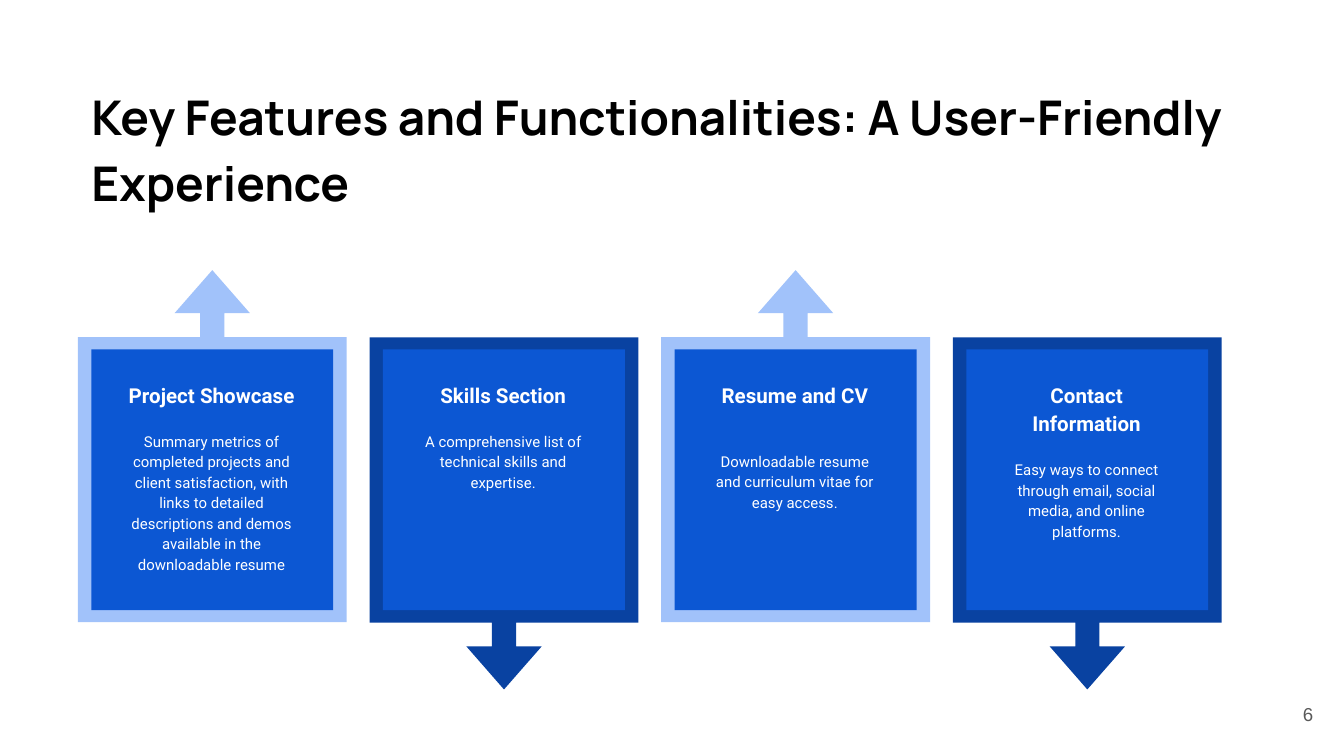
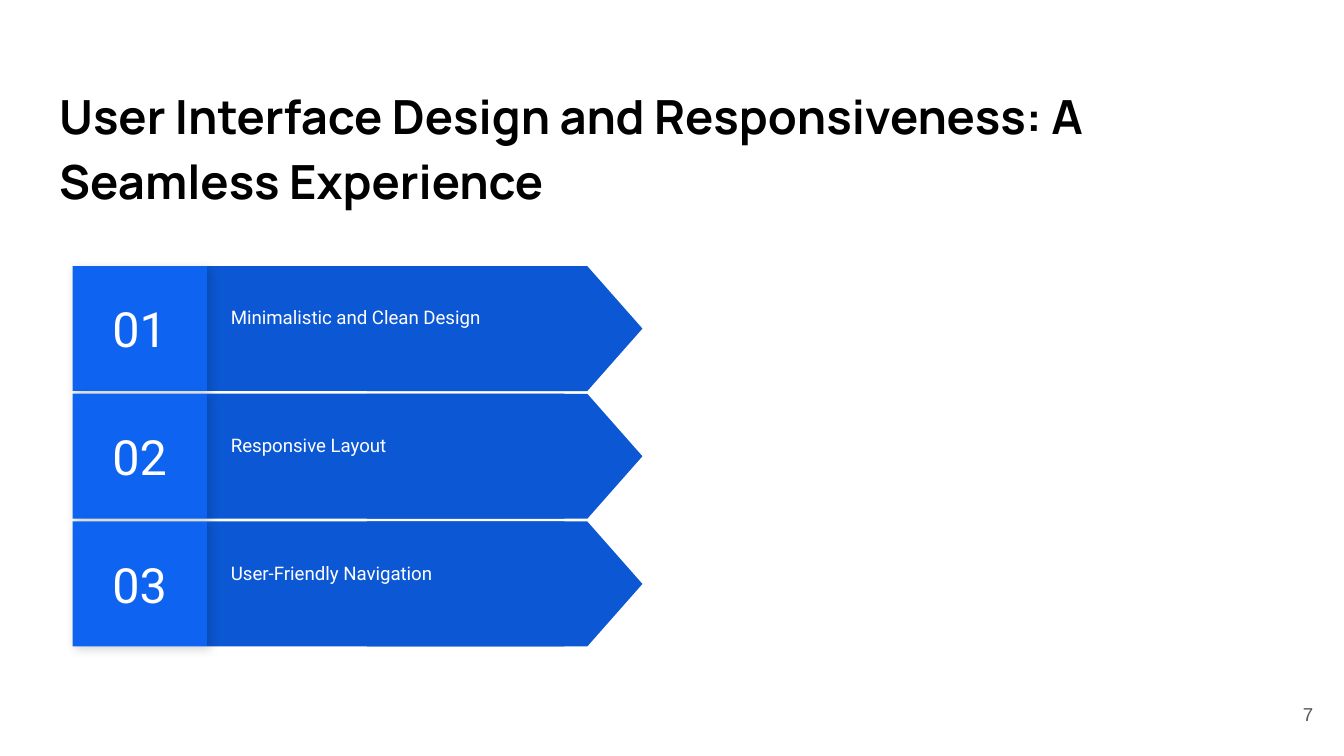
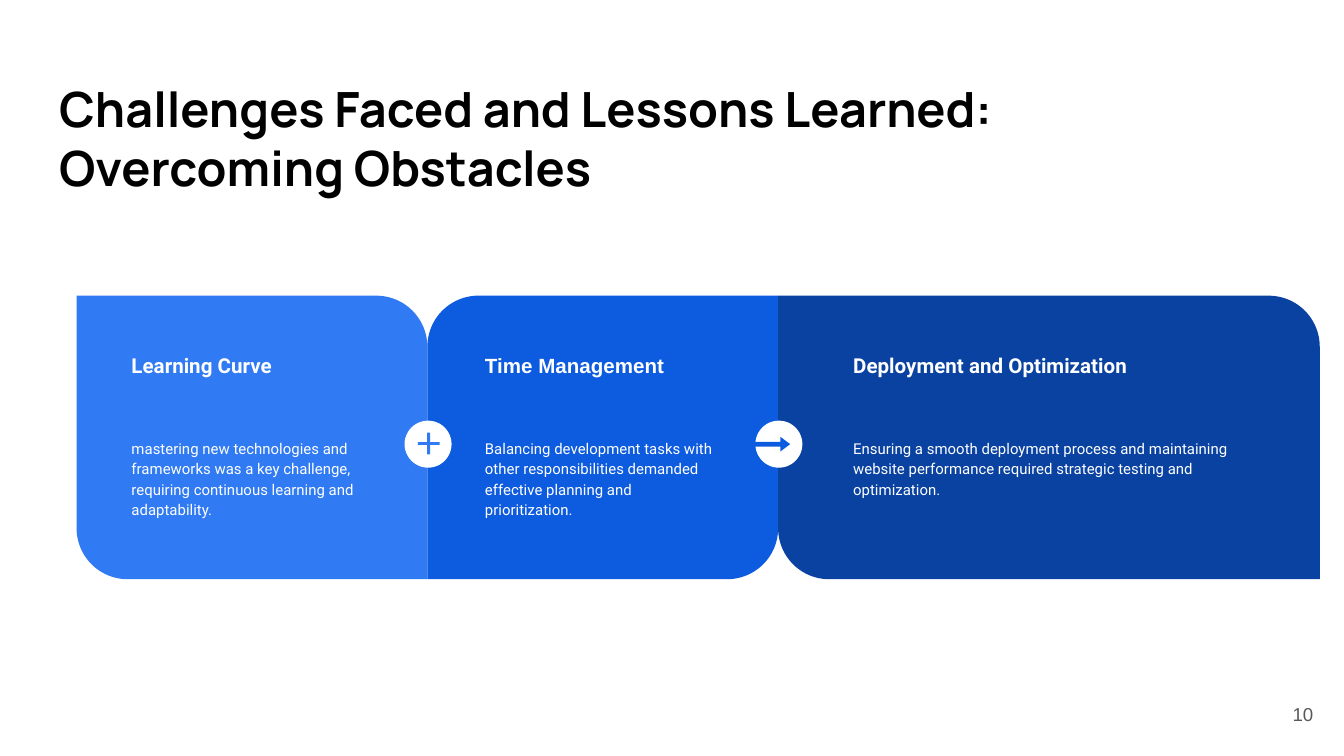
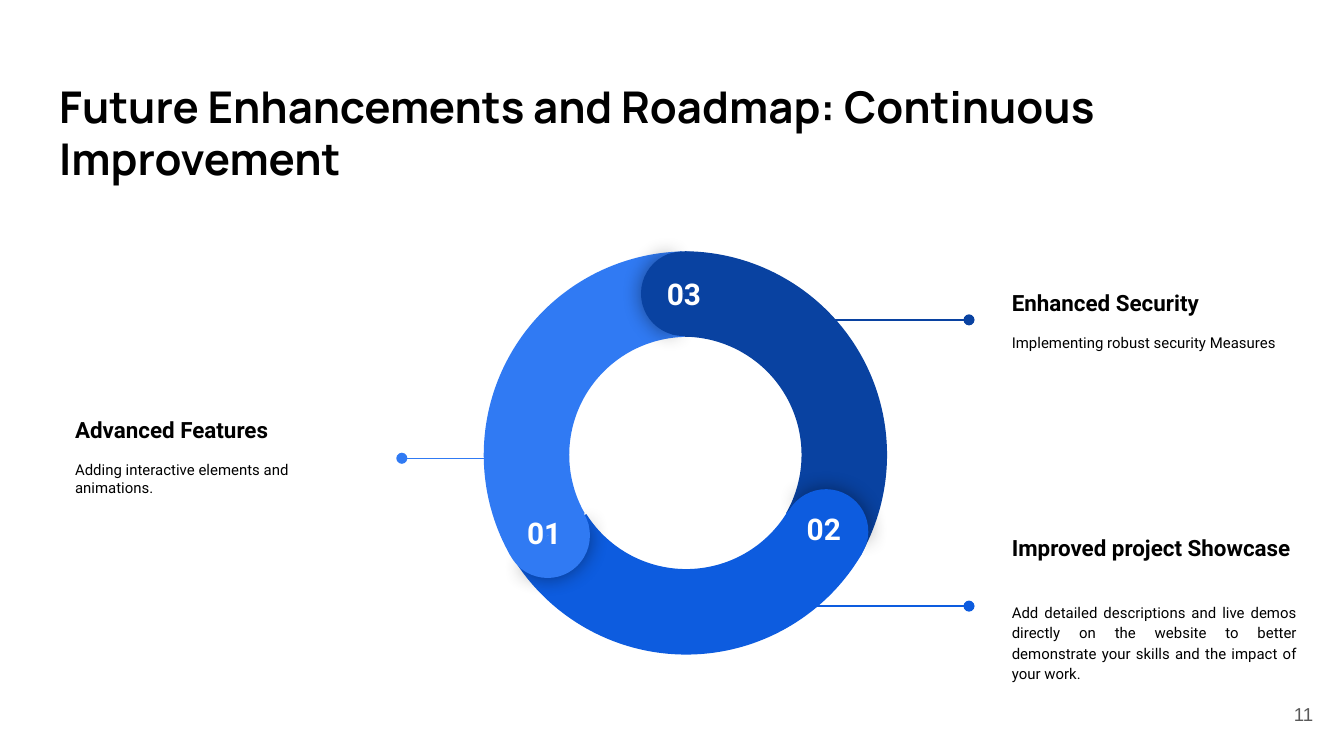
from dataclasses import dataclass

from lxml import etree
from pptx import Presentation
from pptx import util as u
from pptx.dml.color import RGBColor
from pptx.enum import shapes, text
from pptx.oxml import ns

EMU_PER_PX = 9144
NAVY, ROYAL, SKY, COBALT = "0942A1", "0D5CDF", "307AF3", "0C57D3"
PALE, BRIGHT, WHITE, BLACK, GRAY = "A1C2FA", "0E63F0", "FFFFFF", "000000", "595959"
KIND = shapes.MSO_SHAPE
ALIGN = text.PP_ALIGN
ANCHOR = text.MSO_ANCHOR


@dataclass
class Line:
    words: str
    size: float
    color: str = WHITE
    bold: bool = False
    font: str = "Roboto"
    align: int = ALIGN.LEFT
    spacing: float = 1.0
    before: float = 0
    after: float = 0


def px(*lengths):
    return [u.Emu(length * EMU_PER_PX) for length in lengths]


def rgb(value):
    return RGBColor.from_string(value)


def write(frame, lines, anchor=ANCHOR.TOP, bottom=10):
    frame.word_wrap = True
    frame.auto_size = text.MSO_AUTO_SIZE.NONE
    frame.vertical_anchor = anchor
    frame.margin_left, frame.margin_top, frame.margin_right, frame.margin_bottom = px(
        10, 10, 10, bottom)
    frame.text = "\n".join(line.words for line in lines)
    for paragraph, line in zip(frame.paragraphs, lines):
        paragraph.alignment = line.align
        paragraph.line_spacing = line.spacing
        paragraph.space_before = u.Pt(line.before)
        paragraph.space_after = u.Pt(line.after)
        for run in paragraph.runs:
            run.font.name = line.font
            run.font.size = u.Pt(line.size)
            run.font.bold = line.bold
            run.font.color.rgb = rgb(line.color)


def add_text(slide, box, *lines, **layout):
    write(slide.shapes.add_textbox(*px(*box)).text_frame, lines, **layout)


def add_block(slide, kind, box, fill, adjust=(), rotation=0):
    block = slide.shapes.add_shape(kind, *px(*box))
    block.shadow.inherit = False
    block.fill.solid()
    block.fill.fore_color.rgb = rgb(fill)
    block.line.fill.background()
    block.rotation = rotation
    for index, value in enumerate(adjust):
        block.adjustments[index] = value
    return block


def cast_shadow(block, opacity, blur, distance, angle):
    effects = block._element.spPr.find(ns.qn("a:effectLst"))
    shadow = etree.SubElement(
        effects, ns.qn("a:outerShdw"), blurRad=str(u.Pt(blur)), dist=str(u.Pt(distance)),
        dir=str(angle * 60000), algn="ctr", rotWithShape="0")
    color = etree.SubElement(shadow, ns.qn("a:srgbClr"), val=BLACK)
    etree.SubElement(color, ns.qn("a:alpha"), val=str(opacity * 1000))


def add_pointer(slide, start, end, y, color):
    pointer = slide.shapes.add_connector(shapes.MSO_CONNECTOR.STRAIGHT, *px(start, y, end, y))
    pointer.line.color.rgb = rgb(color)
    pointer.line.width = u.Pt(0.75)
    etree.SubElement(pointer.line._get_or_add_ln(), ns.qn("a:tailEnd"), type="oval")
    etree.SubElement(pointer._element.spPr, ns.qn("a:effectLst"))


def add_slide(deck, number, title, size, spacing=1.0, box=(34, 49, 932, 63)):
    slide = deck.slides.add_slide(deck.slide_layouts[5])
    heading = slide.shapes.title
    heading.left, heading.top, heading.width, heading.height = px(*box)
    write(heading.text_frame,
          [Line(title, size, BLACK, bold=True, font="Manrope", spacing=spacing)])
    add_text(slide, (927, 510, 60, 43),
             Line(str(number), 10, GRAY, font="Arial", align=ALIGN.RIGHT), anchor=ANCHOR.MIDDLE)
    return slide


def add_feature(slide, index, heading, detail, gap):
    x = 217 * index
    y, turn, frame = (282, 90, NAVY) if index % 2 else (232, 270, PALE)
    add_block(slide, KIND.RIGHT_ARROW_CALLOUT, (27 + x, y, 262, 200), frame,
              (0.09, 0.14, 0.16, 0.81), turn)
    add_block(slide, KIND.RECTANGLE, (68 + x, 260, 180, 194), COBALT)
    add_text(slide, (82 + x, 272, 151, 161),
             Line(heading, 11, bold=True, align=ALIGN.CENTER, spacing=1.15),
             Line(detail, 8, align=ALIGN.CENTER, spacing=1.15, before=gap))


def add_principle(slide, index, words):
    y = 198 + 95 * index
    add_block(slide, KIND.RECTANGLE, (154, y, 266, 93), COBALT)
    add_block(slide, KIND.FLOWCHART_OFFPAGE_CONNECTOR, (329, y - 56, 93, 205), COBALT,
              rotation=270)
    add_text(slide, (162, y + 11, 280, 72), Line(words, 10, spacing=1.15),
             anchor=ANCHOR.MIDDLE, bottom=30)
    number = add_block(slide, KIND.RECTANGLE, (54, y, 100, 93), BRIGHT)
    cast_shadow(number, 17, 5.6, 2.2, 45)
    write(number.text_frame, [Line(f"{index + 1:02}", 26, align=ALIGN.CENTER)], ANCHOR.MIDDLE)


def add_challenge(slide, panel, words, fill, corners, heading, detail, font="Roboto"):
    (left, width), (words_left, words_width) = panel, words
    add_block(slide, KIND.ROUND_2_DIAG_RECTANGLE, (left, 220, width, 211), fill, corners)
    add_text(slide, (words_left, 253, words_width, 62), Line(heading, 11, bold=True, font=font))
    add_text(slide, (words_left, 315, words_width, 69), Line(detail, 8, spacing=1.15, after=16))


def add_ring_cap(slide, x, y, fill, turn):
    shaded = add_block(slide, KIND.PIE, (x, y, 63, 63), fill, (61.9, 149.96), turn + 0.7)
    cast_shadow(shaded, 43, 11.2, 0, 0)
    add_block(slide, KIND.PIE, (x, y, 63, 63), fill, (40.28, 171.84), (turn + 180) % 360)


def add_goal(slide, x, y, heading, detail):
    add_text(slide, (x, y, 232, 141), Line(heading, 12, BLACK, bold=True), detail,
             anchor=ANCHOR.MIDDLE)


def build_features(deck):
    slide = add_slide(deck, 6, "Key Features and Functionalities: A User-Friendly Experience",
                      25.6, 1.15, (58, 49, 908, 100))
    features = [
        ("Project Showcase", "Summary metrics of completed projects and client satisfaction, "
         "with links to detailed descriptions and demos available in the downloadable resume", 12),
        ("Skills Section", "A comprehensive list of technical skills and expertise.", 12),
        ("Resume and CV", "Downloadable resume and curriculum vitae for easy access.", 22.8),
        ("Contact Information", "Easy ways to connect through email, social media, "
         "and online platforms.", 12),
    ]
    for index, feature in enumerate(features):
        add_feature(slide, index, *feature)


def build_principles(deck):
    slide = add_slide(deck, 7, "User Interface Design and Responsiveness: A Seamless Experience",
                      25.2, 1.15)
    principles = ["Minimalistic and Clean Design", "Responsive Layout",
                  "User-Friendly Navigation"]
    for index, principle in enumerate(principles):
        add_principle(slide, index, principle)


def build_challenges(deck):
    slide = add_slide(deck, 10, "Challenges Faced and Lessons Learned: Overcoming Obstacles", 26)
    add_challenge(slide, (318, 261), (351, 195), ROYAL, (0.18, 0), "Time Management",
                  "Balancing development tasks with other responsibilities demanded "
                  "effective planning and prioritization.", "Arial")
    add_challenge(slide, (57, 261), (88, 195), SKY, (0, 0.18), "Learning Curve",
                  "mastering new technologies and frameworks was a key challenge, "
                  "requiring continuous learning and adaptability.")
    add_challenge(slide, (579, 403), (625, 324), NAVY, (0, 0.18), "Deployment and Optimization",
                  "Ensuring a smooth deployment process and maintaining website performance "
                  "required strategic testing and optimization.")
    for left in (562, 301):
        add_block(slide, KIND.OVAL, (left, 313, 35, 35), WHITE)
    add_block(slide, KIND.RIGHT_ARROW, (561, 325, 27, 11), ROYAL, (0.32, 0.67))
    add_block(slide, KIND.MATH_PLUS, (308, 319, 22, 22), SKY, (0.1,))


def build_roadmap(deck):
    slide = add_slide(deck, 11, "Future Enhancements and Roadmap: Continuous Improvement", 23.4)
    add_goal(slide, 46, 269, "Advanced Features",
             Line("Adding interactive elements and animations.", 8, BLACK, before=9.4, after=16))
    add_goal(slide, 743, 168, "Enhanced Security",
             Line("Implementing robust security Measures", 8, BLACK, before=9.4, after=16))
    add_goal(slide, 743, 382, "Improved project Showcase",
             Line("Add detailed descriptions and live demos directly on the website to better "
                  "demonstrate your skills and the impact of your work.", 8, BLACK,
                  align=ALIGN.JUSTIFY, spacing=1.15, before=21.4, after=12))
    add_pointer(slide, 369, 299, 341, SKY)
    add_pointer(slide, 580, 721, 238, NAVY)
    add_pointer(slide, 580, 721, 451, ROYAL)
    arcs = [(357, 187, NAVY, 60, 197.82), (359, 184, ROYAL, 180, 196.63),
            (360, 187, SKY, 300, 197.03)]
    for x, y, fill, turn, sweep_end in arcs:
        add_block(slide, KIND.BLOCK_ARC, (x, y, 303, 303), fill, (126.23, sweep_end, 0.21), turn)
    for x, y, fill, turn in [(376, 367, SKY, 240), (477, 187, NAVY, 0), (583, 364, ROYAL, 120)]:
        add_ring_cap(slide, x, y, fill, turn)
    for number, x, y in [("03", 481, 195), ("01", 377, 373), ("02", 585, 370)]:
        add_text(slide, (x, y, 56, 29), Line(number, 16, bold=True, align=ALIGN.CENTER))


def main():
    deck = Presentation()
    deck.slide_width, = px(1000)
    deck.slide_height = deck.slide_width * 9 // 16
    build_features(deck)
    build_principles(deck)
    build_challenges(deck)
    build_roadmap(deck)
    deck.save("out.pptx")


if __name__ == "__main__":
    main()
